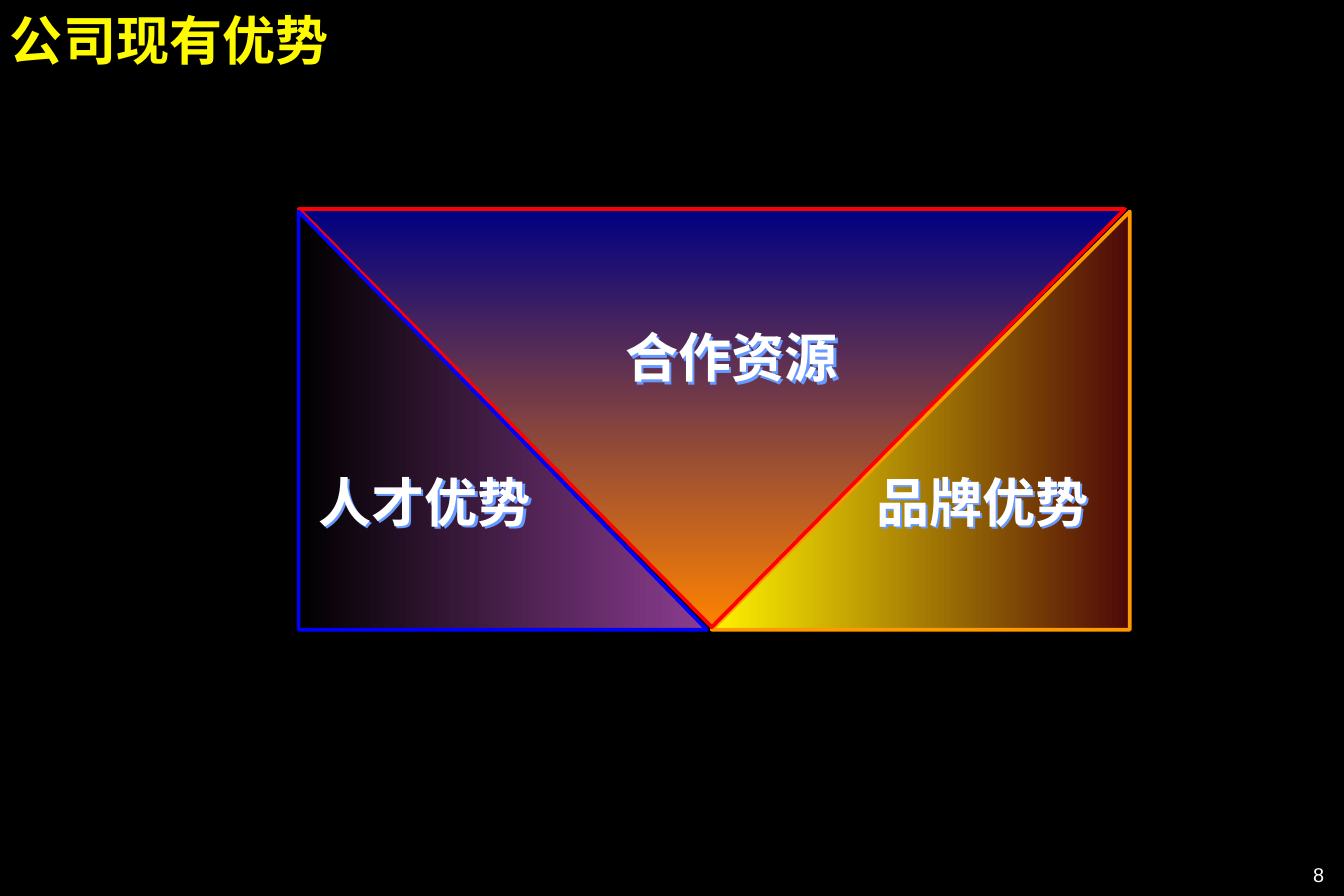
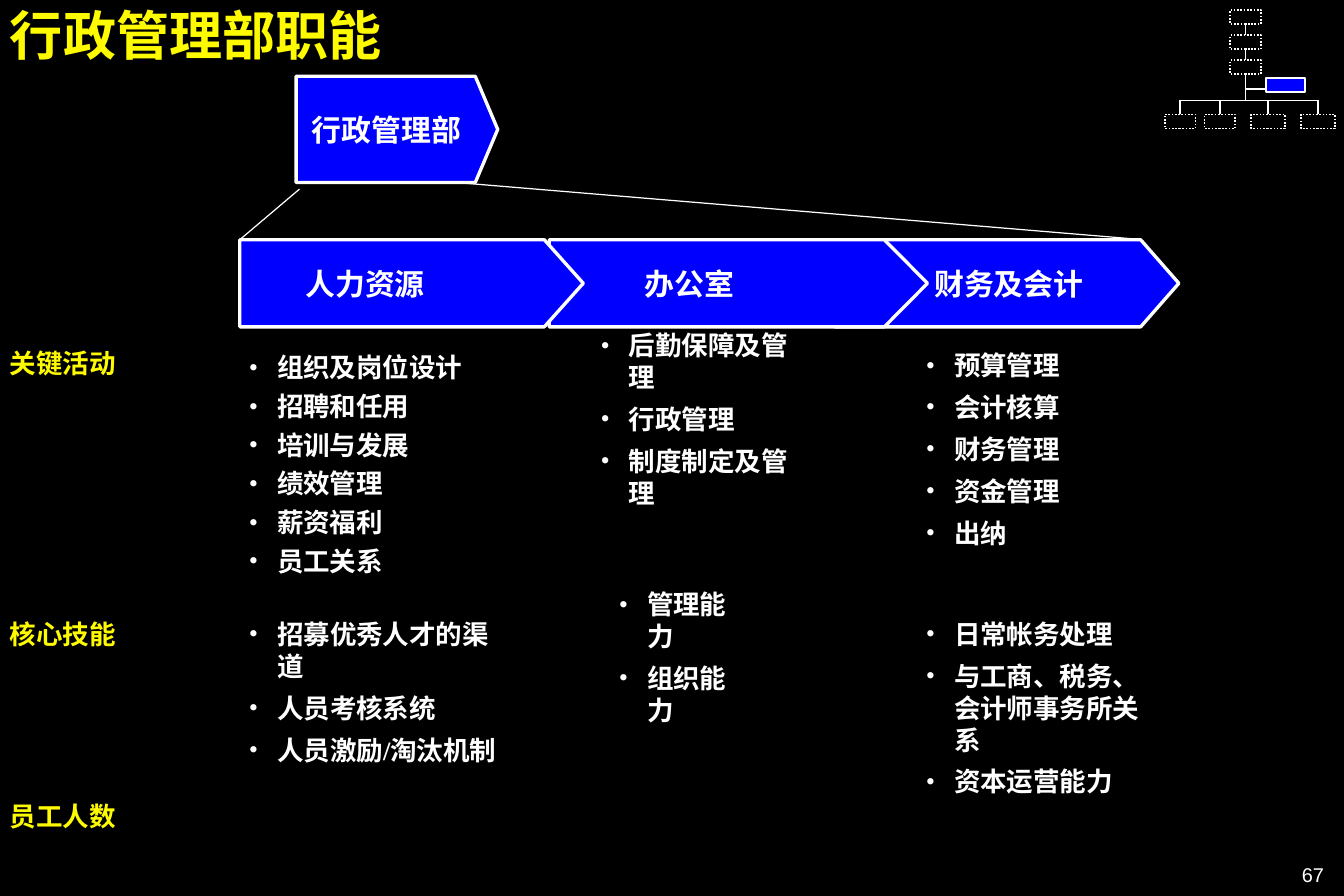
from lxml import etree
from pptx import Presentation
from pptx.dml.color import RGBColor
from pptx.enum.dml import MSO_LINE
from pptx.enum.shapes import MSO_CONNECTOR, MSO_SHAPE
from pptx.enum.text import MSO_ANCHOR, MSO_AUTO_SIZE, PP_ALIGN
from pptx.oxml.ns import qn
from pptx.util import Pt

RIGHT_TRIANGLE = MSO_SHAPE.RIGHT_TRIANGLE
MERGE = MSO_SHAPE.FLOWCHART_MERGE
ARROW_BLOCK = MSO_SHAPE.PENTAGON
RECTANGLE = MSO_SHAPE.RECTANGLE
STRAIGHT = MSO_CONNECTOR.STRAIGHT
DOTTED = MSO_LINE.ROUND_DOT
TOP, MIDDLE = MSO_ANCHOR.TOP, MSO_ANCHOR.MIDDLE
LEFT, CENTER, RIGHT = PP_ALIGN.LEFT, PP_ALIGN.CENTER, PP_ALIGN.RIGHT
NO_FIT = MSO_AUTO_SIZE.NONE
SIDE_TOP, SIDE_BOTTOM = 0, 2

BLACK, WHITE, YELLOW, BLUE = "000000", "FFFFFF", "FEFB00", "0000FE"
SHADOW_BLUE = "6699FF"
SANS, SERIF, CJK = "Arial", "Times New Roman", "Noto Sans CJK SC"
BULLET_INDENT = 17


def rgb(value):
    return RGBColor.from_string(value)


def points(*lengths):
    return [Pt(length) for length in lengths]


def place(shape, box):
    shape.left, shape.top, shape.width, shape.height = points(*box)


def prepare_frame(frame, anchor=TOP, left_inset=0, wrap=True):
    frame.auto_size = NO_FIT
    frame.word_wrap = wrap
    frame.vertical_anchor = anchor
    frame.margin_left = Pt(left_inset)
    frame.margin_top = frame.margin_right = frame.margin_bottom = 0


def add_run(paragraph, text, size, color=WHITE, bold=True, latin=SERIF):
    run = paragraph.add_run()
    run.text = text
    font = run.font
    font.size, font.bold, font.name = Pt(size), bold, latin
    font.color.rgb = rgb(color)
    etree.SubElement(run._r.get_or_add_rPr(), qn("a:ea")).set("typeface", CJK)


def add_label(slide, text, box, size, color=WHITE, align=LEFT, anchor=TOP,
              bold=True, latin=SERIF):
    label = slide.shapes.add_textbox(*points(*box))
    prepare_frame(label.text_frame, anchor)
    paragraph = label.text_frame.paragraphs[0]
    paragraph.alignment = align
    add_run(paragraph, text, size, color, bold, latin)
    return label


def add_block(slide, preset, box, line, weight, fill=None):
    block = slide.shapes.add_shape(preset, *points(*box))
    block.shadow.inherit = False
    block.line.color.rgb = rgb(line)
    block.line.width = Pt(weight)
    if fill:
        block.fill.solid()
        block.fill.fore_color.rgb = rgb(fill)
    else:
        block.fill.background()
    return block


def add_line(slide, start, end, weight):
    line = slide.shapes.add_connector(STRAIGHT, *points(*start, *end))
    line.line.color.rgb = rgb(WHITE)
    line.line.width = Pt(weight)
    etree.SubElement(line.element.spPr, qn("a:effectLst"))
    return line


def add_titled_slide(prs, title_text, title_box, number, spacing=1.0):
    slide = prs.slides.add_slide(prs.slide_layouts[5])
    title = slide.shapes.title
    place(title, title_box)
    prepare_frame(title.text_frame, MIDDLE)
    paragraph = title.text_frame.paragraphs[0]
    paragraph.alignment = LEFT
    paragraph.line_spacing = spacing
    add_run(paragraph, title_text, 32, YELLOW, latin=SANS)
    add_label(slide, number, (630, 520, 168, 14), 12, align=RIGHT,
              bold=False, latin=SANS)
    return slide


def add_gradient_triangle(slide, preset, box, line, start, end, angle,
                          flipped=False):
    triangle = add_block(slide, preset, box, line, 2.25)
    triangle.fill.gradient()
    triangle.fill.gradient_angle = angle
    for stop, color in zip(triangle.fill.gradient_stops, (start, end)):
        stop.color.rgb = rgb(color)
    if flipped:
        triangle.element.spPr.find(qn("a:xfrm")).set("flipH", "1")


def add_shadowed_label(slide, text, box, align=LEFT):
    label = add_label(slide, text, box, 32, align=align, anchor=MIDDLE)
    effects = etree.SubElement(label.element.spPr, qn("a:effectLst"))
    shadow = etree.SubElement(effects, qn("a:outerShdw"), dist=str(Pt(2)),
                              dir="2700000", algn="ctr", rotWithShape="0")
    etree.SubElement(shadow, qn("a:srgbClr"), val=SHADOW_BLUE)


def add_strengths(slide, left, top):
    add_gradient_triangle(slide, RIGHT_TRIANGLE,
                          (left + 249, top + 1.5, 252, 252),
                          "FF9900", "FFF200", "4D0808", 180, flipped=True)
    add_gradient_triangle(slide, MERGE, (left, top, 498, 252),
                          "FF0000", "000082", "FF8200", 270)
    add_gradient_triangle(slide, RIGHT_TRIANGLE, (left, top + 1.5, 246, 252),
                          BLUE, "8C3D91", BLACK, 180)
    add_shadowed_label(slide, "品牌优势", (left + 348, top + 157, 150, 38))
    add_shadowed_label(slide, "合作资源", (left + 168, top + 70, 186, 38), CENTER)
    add_shadowed_label(slide, "人才优势", (left + 12, top + 157, 138, 38))


def add_arrow_block(slide, text, box, tip, left_inset):
    block = add_block(slide, ARROW_BLOCK, box, WHITE, 2, BLUE)
    block.adjustments[0] = tip / box[3]
    prepare_frame(block.text_frame, MIDDLE, left_inset, wrap=False)
    paragraph = block.text_frame.paragraphs[0]
    paragraph.alignment = LEFT
    add_run(paragraph, text, 18)


def add_department(slide, left, top):
    add_arrow_block(slide, "行政管理部", (left + 34, top, 121.5, 64), 13.5, 9.5)
    add_line(slide, (left + 124.5, top + 63.5), (left + 539, top + 98), 0.75)
    add_line(slide, (left + 36, top + 68), (left, top + 98.5), 0.75)
    sections = [
        ("财务及会计", 358.5, 207.5, 23, 60),
        ("办公室", 186.5, 228, 26, 57.5),
        ("人力资源", 0, 207, 23.5, 39.5),
    ]
    for text, offset, width, tip, inset in sections:
        add_arrow_block(slide, text, (left + offset, top + 98.5, width, 52.5),
                        tip, inset)


def add_bullets(slide, items, box, spacing=1.0):
    frame = slide.shapes.add_textbox(*points(*box)).text_frame
    prepare_frame(frame)
    for index, item in enumerate(items):
        paragraph = frame.add_paragraph() if index else frame.paragraphs[0]
        paragraph.line_spacing = spacing
        paragraph.space_after = Pt(6)
        properties = paragraph._p.get_or_add_pPr()
        properties.set("marL", str(Pt(BULLET_INDENT)))
        properties.set("indent", str(-Pt(BULLET_INDENT)))
        color = etree.SubElement(properties, qn("a:buClr"))
        etree.SubElement(color, qn("a:srgbClr"), val=WHITE)
        etree.SubElement(properties, qn("a:buFont"), typeface=SERIF)
        etree.SubElement(properties, qn("a:buChar"), char="•")
        add_run(paragraph, item, 16)


def add_duties(slide, left, top):
    for text, offset in (("关键活动", 0), ("核心技能", 163.5), ("员工人数", 273)):
        add_label(slide, text, (left, top + offset, 113, 19.5), 16, YELLOW)
    add_bullets(slide, ["组织及岗位设计", "招聘和任用", "培训与发展",
                        "绩效管理", "薪资福利", "员工关系"],
                (left + 144, top + 5, 138, 134), 0.9)
    lists = [
        (["后勤保障及管理", "行政管理", "制度制定及管理"],
         (356, -10.5, 117.5, 108)),
        (["预算管理", "会计核算", "财务管理", "资金管理", "出纳"],
         (552, 1.5, 82, 145)),
        (["招募优秀人才的渠道", "人员考核系统", "人员激励/淘汰机制"],
         (144, 163.5, 156, 108)),
        (["管理能力", "组织能力"], (367, 145.5, 69, 83)),
        (["日常帐务处理", "与工商、税务、会计师事务所关系", "资本运营能力"],
         (552, 163.5, 132, 108)),
    ]
    for items, (x, y, width, height) in lists:
        add_bullets(slide, items, (left + x, top + y, width, height))


def add_org_map(slide, left, top):
    def node(x, y, width=18.5):
        box = add_block(slide, RECTANGLE, (left + x, top + y, width, 8.5),
                        WHITE, 1)
        box.line.dash_style = DOTTED
        return box

    def link(x1, y1, x2, y2):
        return add_line(slide, (left + x1, top + y1), (left + x2, top + y2), 1)

    trunk, bus = 48.75, 54.5
    levels = [node(39.5, y) for y in (0, 15.25, 30.25)]
    for upper, lower in zip(levels, levels[1:]):
        joint = link(trunk, 8.5, trunk, 15.25)
        joint.begin_connect(upper, SIDE_BOTTOM)
        joint.end_connect(lower, SIDE_TOP)
    link(trunk, 38.75, trunk, bus).begin_connect(levels[-1], SIDE_BOTTOM)
    link(trunk, 47.5, 61, 47.5)
    add_block(slide, RECTANGLE, (left + 61, top + 41, 23.5, 8.5),
              WHITE, 1, BLUE)
    leaves = [(0, 18.5), (24, 18.5), (52, 20.5), (82, 20.5)]
    centers = [x + width / 2 for x, width in leaves]
    link(centers[0], bus, centers[-1], bus)
    for (x, width), center in zip(leaves, centers):
        leaf = node(x, 63, width)
        link(center, bus, center, 63).end_connect(leaf, SIDE_TOP)


def main():
    prs = Presentation()
    prs.slide_width, prs.slide_height = points(810, 540)
    background = prs.slide_master.background.fill
    background.solid()
    background.fore_color.rgb = rgb(BLACK)

    strengths = add_titled_slide(prs, "公司现有优势", (6, 4.5, 774, 38), "8")
    add_strengths(strengths, 180, 126)

    duties = add_titled_slide(prs, "行政管理部职能", (6, 6, 684, 34.5), "67", 0.9)
    add_department(duties, 144.5, 46)
    add_duties(duties, 6, 209)
    add_org_map(duties, 702, 6)
    prs.save("out.pptx")


if __name__ == "__main__":
    main()
